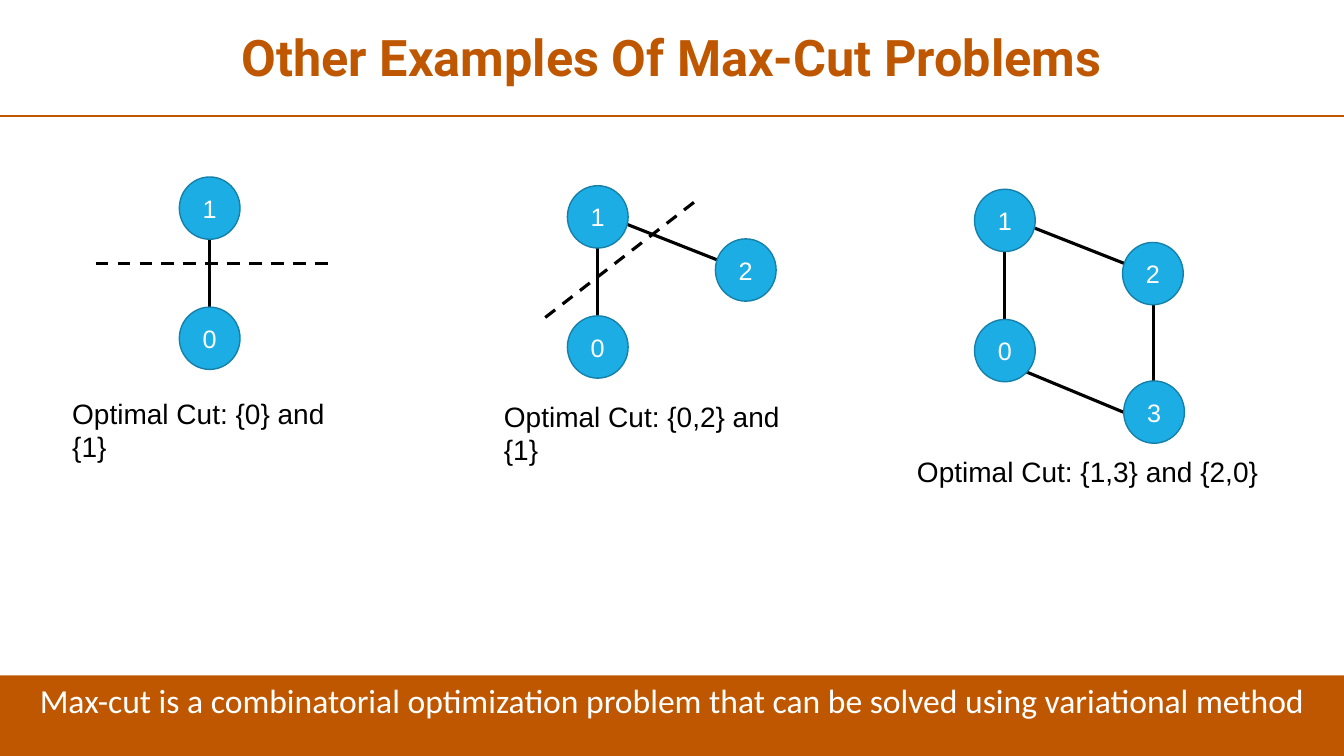
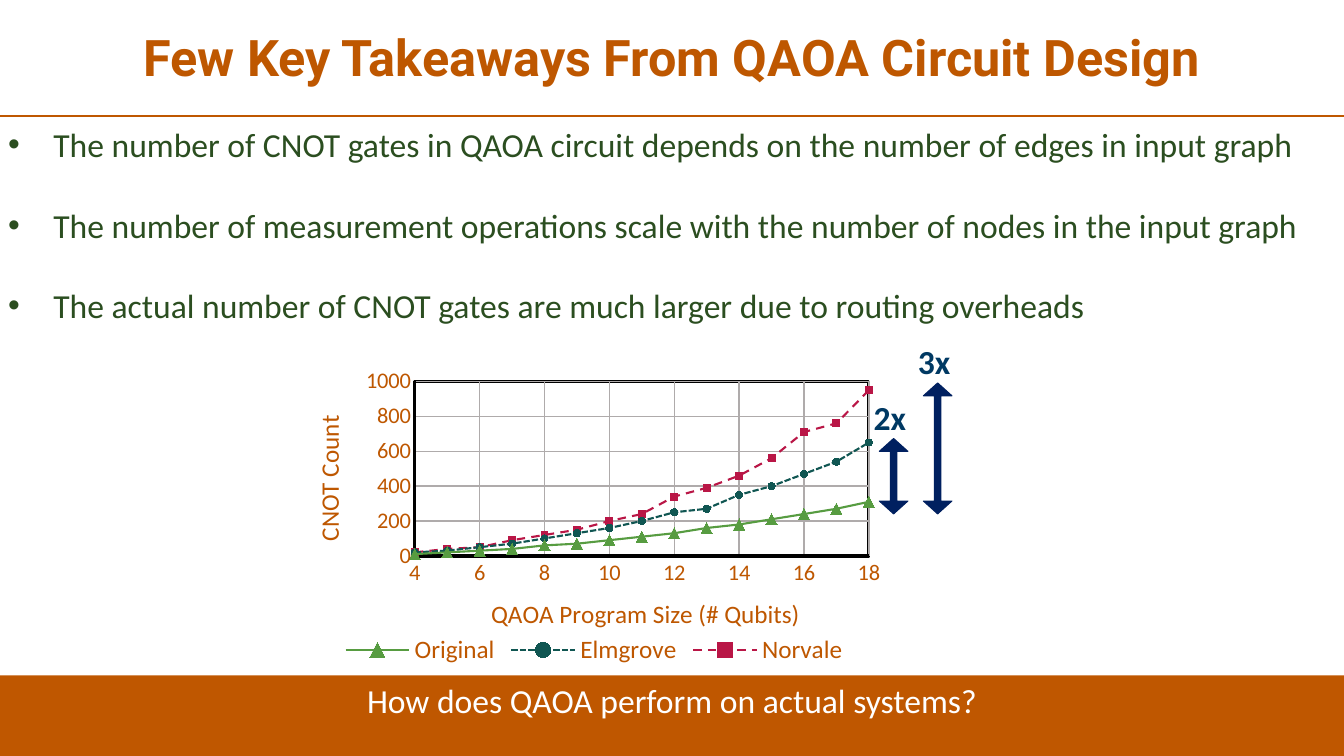
"""Build two slides on max-cut problems and QAOA circuit design."""
from lxml.etree import SubElement
from pptx import Presentation
from pptx.chart.data import XyChartData
from pptx.dml.color import RGBColor
from pptx.enum.chart import XL_CHART_TYPE, XL_LEGEND_POSITION, XL_MARKER_STYLE, XL_TICK_MARK
from pptx.enum.dml import MSO_LINE
from pptx.enum.shapes import MSO_CONNECTOR, MSO_SHAPE
from pptx.enum.text import MSO_ANCHOR, MSO_AUTO_SIZE, PP_ALIGN
from pptx.oxml import parse_xml
from pptx.oxml.ns import nsdecls, qn
from pptx.util import Cm, Pt

LEFT, CENTER = PP_ALIGN.LEFT, PP_ALIGN.CENTER
TOP, MIDDLE = MSO_ANCHOR.TOP, MSO_ANCHOR.MIDDLE
FIXED = MSO_AUTO_SIZE.NONE
DASH, DOTS = MSO_LINE.DASH, MSO_LINE.SQUARE_DOT
RECT, OVAL, ARROW = MSO_SHAPE.RECTANGLE, MSO_SHAPE.OVAL, MSO_SHAPE.LEFT_RIGHT_ARROW
STRAIGHT = MSO_CONNECTOR.STRAIGHT
SCATTER = XL_CHART_TYPE.XY_SCATTER_LINES
BOTTOM = XL_LEGEND_POSITION.BOTTOM
NO_TICK = XL_TICK_MARK.NONE
PEAK, DISC, BLOCK = XL_MARKER_STYLE.TRIANGLE, XL_MARKER_STYLE.CIRCLE, XL_MARKER_STYLE.SQUARE

HEX = {
    "title": "BE5700", "band": "BF5700", "white": "FFFFFF", "black": "000000",
    "node": "1CADE4", "rim": "1580A9", "list": "2B4E20", "grid": "AFABAB",
    "arrow": "002060", "ratio": "003963",
    "green": "579C41", "teal": "105652", "red": "B91646",
}
RGB = {name: RGBColor.from_string(code) for name, code in HEX.items()}
WIDE, HIGH = 33.87, 19.05


def text(box, *lines, size=24, color="black", font="Calibri", bold=False,
         align=LEFT, anchor=TOP, space=None, gap=0, indent=0):
    frame = box.text_frame
    frame.word_wrap = True
    frame.auto_size = FIXED
    frame.vertical_anchor = anchor
    for i, words in enumerate(lines):
        para = frame.add_paragraph() if i else frame.paragraphs[0]
        para.alignment = align
        para.line_spacing = space
        para.space_before = Pt(gap if i else 0)
        if indent:
            props = para._p.get_or_add_pPr()
            props.set("marL", str(Cm(indent)))
            props.set("indent", str(-Cm(indent)))
        run = para.add_run()
        run.text = words
        run.font.name = font
        run.font.size = Pt(size)
        run.font.bold = bold
        run.font.color.rgb = RGB[color]


def rule(slide, ends, color="black", width=2.25, dash=None):
    line = slide.shapes.add_connector(STRAIGHT, *[Cm(n) for n in ends])
    line.line.color.rgb = RGB[color]
    line.line.width = Pt(width)
    if dash:
        line.line.dash_style = dash
    SubElement(line.element.spPr, qn("a:effectLst"))


deck = Presentation()
deck.slide_width, deck.slide_height = Cm(WIDE), Cm(HIGH)

pages = [
    (5, "Other Examples Of Max-Cut Problems",
     "Max-cut is a combinatorial optimization problem that can be solved using variational method"),
    (1, "Few Key Takeaways From QAOA Circuit Design",
     "How does QAOA perform on actual systems?"),
]
for layout, head, foot in pages:
    slide = deck.slides.add_slide(deck.slide_layouts[layout])
    title = slide.shapes.title
    title.left, title.top, title.width, title.height = Cm(0.23), Cm(0.1), Cm(33.4), Cm(2.82)
    text(title, head, size=36, color="title", font="Roboto", bold=True,
         align=CENTER, anchor=MIDDLE, space=0.9)
    rule(slide, (0, 2.92, WIDE, 2.92), "band", 1.5)
    band = slide.shapes.add_shape(RECT, 0, Cm(17.02), Cm(WIDE), Cm(HIGH - 17.02))
    band.shadow.inherit = False
    band.fill.solid()
    band.fill.fore_color.rgb = RGB["band"]
    band.line.fill.background()
    text(band, foot, color="white", align=CENTER)

cuts, lessons = deck.slides

spots = {"1": (0, 0), "0": (0, 3.28), "2": (3.73, 1.34), "3": (3.76, 4.83)}
edges = {
    "10": (0.76, 1.57, 0.76, 3.28), "12": (1.52, 0.98, 4.97, 2.34),
    "03": (1.3, 4.6, 3.76, 5.62), "23": (4.52, 2.9, 4.52, 4.83),
}
graphs = [
    (4.52, 4.46, "10", ["10"]),
    (14.3, 4.68, "102", ["10", "12"]),
    (24.56, 4.77, "1023", ["10", "12", "03", "23"]),
]
for x, y, nodes, pairs in graphs:
    for pair in pairs:
        x1, y1, x2, y2 = edges[pair]
        rule(cuts, (x + x1, y + y1, x + x2, y + y2))
    for name in nodes:
        dx, dy = spots[name]
        node = cuts.shapes.add_shape(OVAL, Cm(x + dx), Cm(y + dy), Cm(1.53), Cm(1.57))
        node.shadow.inherit = False
        node.fill.solid()
        node.fill.fore_color.rgb = RGB["node"]
        node.line.color.rgb = RGB["rim"]
        node.line.width = Pt(1)
        text(node, name, size=18, color="white", font="Arial", align=CENTER, anchor=MIDDLE)

for ends in [(2.41, 6.65, 8.46, 6.65), (13.74, 8, 17.55, 5.05)]:
    rule(cuts, ends, dash=DASH)

notes = [
    (1.57, 9.86, 7.37, "Optimal Cut: {0} and {1}"),
    (12.45, 9.93, 7.9, "Optimal Cut: {0,2} and {1}"),
    (22.86, 11.33, 9.53, "Optimal Cut: {1,3} and {2,0}"),
]
for x, y, wide, words in notes:
    box = cuts.shapes.add_textbox(Cm(x), Cm(y), Cm(wide), Cm(1.12))
    text(box, words, size=20, font="Arial")

body = lessons.placeholders[1]
body.left, body.top, body.width, body.height = Cm(-0.05), Cm(3), Cm(33.93), Cm(5.38)
text(body,
     "The number of CNOT gates in QAOA circuit depends on the number of edges in input graph",
     "The number of measurement operations scale with the number of nodes in the input graph",
     "The actual number of CNOT gates are much larger due to routing overheads",
     color="list", gap=28.6, indent=1.14)

series = [
    ("Original", "green", None, PEAK, 8,
     [10, 20, 30, 40, 60, 70, 90, 110, 130, 160, 180, 210, 240, 270, 310]),
    ("Elmgrove", "teal", DOTS, DISC, 5,
     [20, 30, 50, 70, 100, 130, 160, 200, 250, 270, 350, 400, 470, 540, 650]),
    ("Norvale", "red", DASH, BLOCK, 5,
     [20, 40, 50, 90, 120, 150, 200, 240, 340, 390, 460, 560, 710, 760, 950]),
]
data = XyChartData()
for name, *_, counts in series:
    points = data.add_series(name)
    for size, count in enumerate(counts, 4):
        points.add_data_point(size, count)
chart = lessons.shapes.add_chart(SCATTER, Cm(7.44), Cm(9.27), Cm(15.06), Cm(7.62), data).chart
chart.has_title = False
chart.font.name = "Calibri"
chart.font.size = Pt(10)
chart.font.color.rgb = RGB["title"]
chart.has_legend = True
chart.legend.position = BOTTOM
chart.legend.include_in_layout = False
chart.legend.font.name = "Calibri"
chart.legend.font.size = Pt(18)
chart.legend.font.color.rgb = RGB["title"]
chart.plots[0].vary_by_categories = False

for line, (_, color, dash, mark, size, _) in zip(chart.plots[0].series, series):
    line.smooth = False
    line.format.line.color.rgb = RGB[color]
    line.format.line.width = Pt(1.5)
    if dash:
        line.format.line.dash_style = dash
    line.marker.style = mark
    line.marker.size = size
    line.marker.format.fill.solid()
    line.marker.format.fill.fore_color.rgb = RGB[color]
    line.marker.format.line.color.rgb = RGB[color]

scales = [
    (chart.category_axis, "QAOA Program Size (# Qubits)", 4, 18, 2),
    (chart.value_axis, "CNOT Count", 0, 1000, 200),
]
for axis, words, low, high, step in scales:
    axis.minimum_scale, axis.maximum_scale, axis.major_unit = low, high, step
    axis.major_tick_mark = axis.minor_tick_mark = NO_TICK
    axis.tick_labels.font.name = "Calibri"
    axis.tick_labels.font.size = Pt(16)
    axis.tick_labels.font.color.rgb = RGB["title"]
    axis.format.line.color.rgb = RGB["black"]
    axis.format.line.width = Pt(2)
    axis.has_major_gridlines = True
    axis.major_gridlines.format.line.color.rgb = RGB["grid"]
    axis.major_gridlines.format.line.width = Pt(1)
    run = axis.axis_title.text_frame.paragraphs[0].add_run()
    run.text = words
    run.font.name = "Calibri"
    run.font.size = Pt(18)
    run.font.bold = False
    run.font.color.rgb = RGB["title"]

plot = next(chart.element.iter(qn("c:plotArea")))
below, beside = plot.iter(qn("c:title"))
places = [
    (plot, 0, {"x": 0.2, "y": 0.04, "w": 0.76, "h": 0.58}),
    (below, 1, {"x": 0.32, "y": 0.74}),
    (beside, 1, {"x": 0.02, "y": 0.14}),
]
for part, index, sides in places:
    for old in part.findall(qn("c:layout")):
        part.remove(old)
    layout = parse_xml(f"<c:layout {nsdecls('c')}><c:manualLayout/></c:layout>")
    if part is plot:
        SubElement(layout[0], qn("c:layoutTarget")).set("val", "inner")
    for side in "xy":
        SubElement(layout[0], qn(f"c:{side}Mode")).set("val", "edge")
    for side, share in sides.items():
        SubElement(layout[0], qn(f"c:{side}")).set("val", str(share))
    part.insert(index, layout)
plot.append(parse_xml(
    f"<c:spPr {nsdecls('c', 'a')}><a:noFill/><a:ln w='{Pt(2.25)}'><a:solidFill>"
    f"<a:srgbClr val='{HEX['black']}'/></a:solidFill></a:ln></c:spPr>"))

for words, x, tall in [("2x", 22.52, 1.9), ("3x", 23.63, 3.3)]:
    top = 12.95 - tall
    arrow = lessons.shapes.add_shape(
        ARROW, Cm(x - tall / 2), Cm(top + tall / 2 - 0.36), Cm(tall), Cm(0.72))
    arrow.rotation = 90
    arrow.shadow.inherit = False
    arrow.adjustments[0], arrow.adjustments[1] = 0.23, 0.45
    arrow.fill.solid()
    arrow.fill.fore_color.rgb = RGB["arrow"]
    arrow.line.color.rgb = RGB["arrow"]
    arrow.line.width = Pt(0.75)
    box = lessons.shapes.add_textbox(Cm(x - 0.75), Cm(top - 1.18), Cm(1.6), Cm(1.27))
    text(box, words, color="ratio", bold=True)

deck.save("out.pptx")
